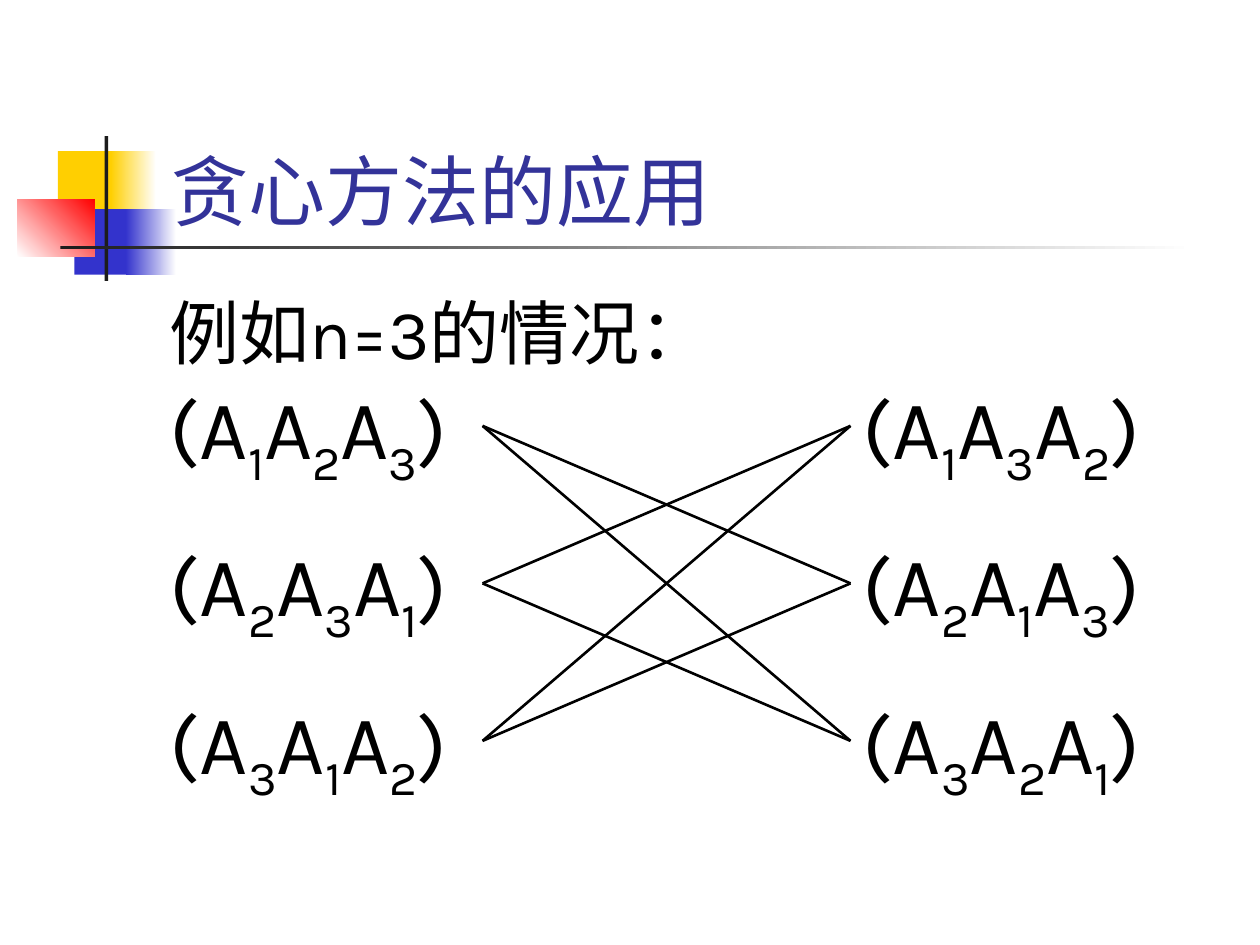
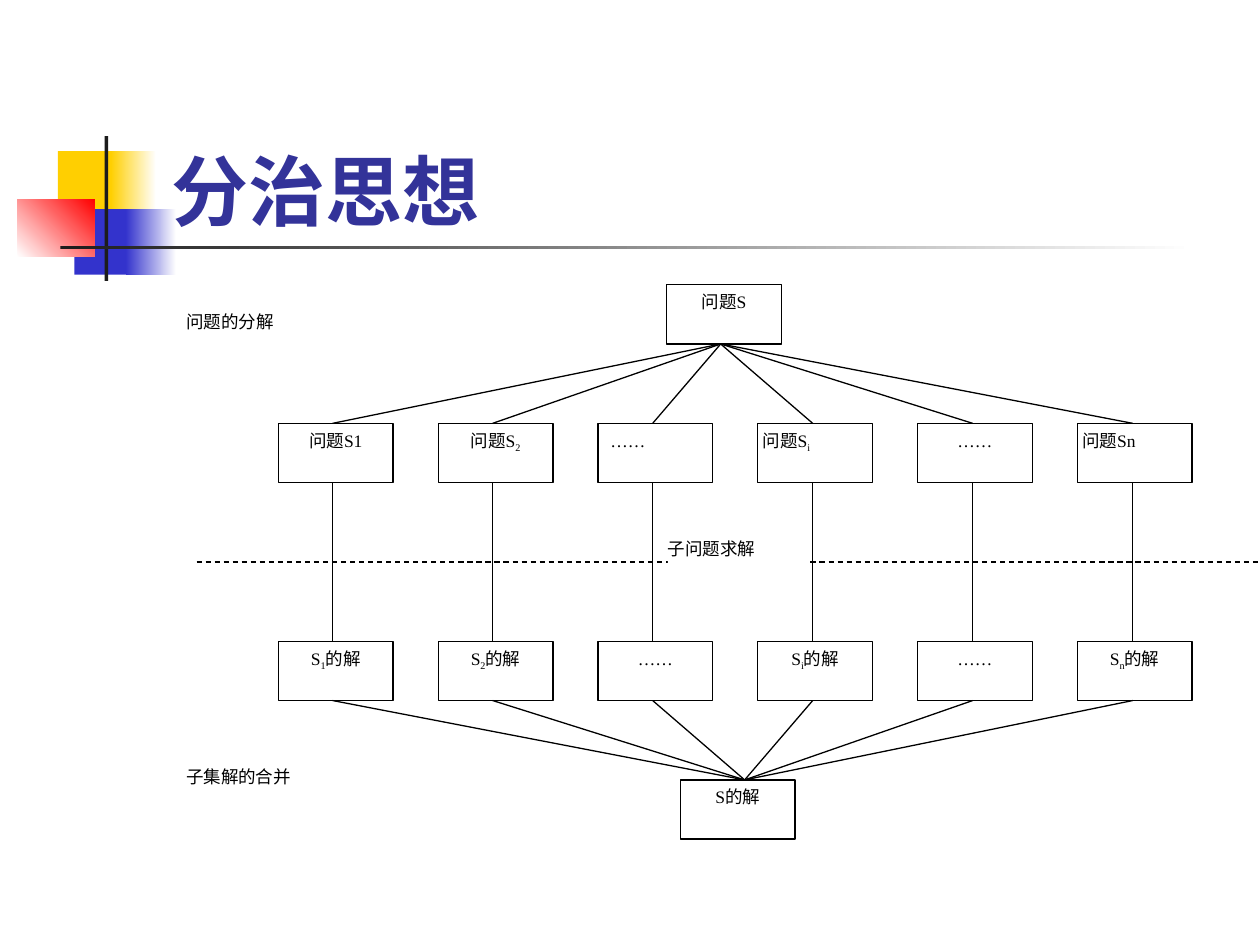
from lxml import etree
from pptx import Presentation
from pptx.dml.color import RGBColor
from pptx.enum.dml import MSO_LINE
from pptx.enum.shapes import MSO_CONNECTOR, MSO_SHAPE
from pptx.enum.text import MSO_ANCHOR, MSO_AUTO_SIZE, PP_ALIGN
from pptx.oxml.ns import qn
from pptx.util import Inches, Pt

RECTANGLE = MSO_SHAPE.RECTANGLE
PROCESS = MSO_SHAPE.FLOWCHART_PROCESS
STRAIGHT = MSO_CONNECTOR.STRAIGHT
DASH = MSO_LINE.DASH
TOP, BOTTOM = MSO_ANCHOR.TOP, MSO_ANCHOR.BOTTOM
NO_FIT = MSO_AUTO_SIZE.NONE
LEFT, CENTER, JUSTIFY = PP_ALIGN.LEFT, PP_ALIGN.CENTER, PP_ALIGN.JUSTIFY

BLACK, WHITE, CHARCOAL = "000000", "FFFFFF", "1C1C1C"
YELLOW, BLUE, RED, TITLE_BLUE = "FFCF01", "3333CC", "FF0000", "333399"
CHINESE, BODY, DIAGRAM = "Noto Sans CJK SC", "Karla", "Times New Roman"
DOTS = "……"

BOX_WIDTH, BOX_HEIGHT = 0.91, 0.47
SUBPROBLEM_TOP, SOLUTION_TOP = 3.36, 5.09
PROBLEM_TOP, RESULT_TOP = 2.26, 6.19

ORNAMENT = [
    ((0.46, 1.2, 0.48, 0.52), (YELLOW,), 0),
    ((0.88, 1.2, 0.36, 0.52), (YELLOW, WHITE), 0),
    ((0.59, 1.66, 0.46, 0.52), (BLUE,), 0),
    ((1, 1.66, 0.4, 0.52), (BLUE, WHITE), 0),
    ((0.14, 1.58, 0.61, 0.46), (WHITE, RED), 45),
    ((0.83, 1.08, 0.03, 1.15), (CHARCOAL,), 0),
    ((0.48, 1.95, 9, 0.03), (CHARCOAL, WHITE), 0),
]


def color(value):
    return RGBColor.from_string(value)


def inches(values):
    return [Inches(value) for value in values]


def write_text(shape, text, size, font, align=JUSTIFY, hue=BLACK, bold=False,
               inset=0.1, anchor=TOP):
    frame = shape.text_frame
    frame.word_wrap = True
    frame.auto_size = NO_FIT
    frame.vertical_anchor = anchor
    frame.margin_left = frame.margin_right = Inches(inset)
    frame.margin_top = frame.margin_bottom = Inches(0.05)
    para = frame.paragraphs[0]
    para.alignment = align
    para.space_before = Pt(0)
    para.font.size = Pt(size)
    para.font.bold = bold
    para.font.color.rgb = color(hue)
    para.font.name = font
    etree.SubElement(para.font._element, qn("a:ea"), typeface=CHINESE)
    start, *marked = text.split("_")
    add_span(para, start)
    for part in marked:
        add_span(para, part[0], True)
        add_span(para, part[1:])


def add_span(para, text, subscript=False):
    if text:
        span = para.add_run()
        span.text = text
        if subscript:
            span.font._element.set("baseline", "-25000")


def add_block(page, place, fills=(WHITE,), angle=0, kind=RECTANGLE, outline=False):
    block = page.shapes.add_shape(kind, *inches(place))
    block.shadow.inherit = False
    if len(fills) == 1:
        block.fill.solid()
        block.fill.fore_color.rgb = color(fills[0])
    else:
        block.fill.gradient()
        block.fill.gradient_angle = angle
        for stop, hue in zip(block.fill.gradient_stops, fills):
            stop.color.rgb = color(hue)
    if outline:
        block.line.color.rgb = color(BLACK)
        block.line.width = Pt(0.75)
    else:
        block.line.fill.background()
    return block


def add_text_box(page, place, text, size):
    write_text(page.shapes.add_textbox(*inches(place)), text, size, BODY)


def add_line(page, start, end, width=0.75, dash=None):
    line = page.shapes.add_connector(STRAIGHT, *inches(start + end))
    line.line.color.rgb = color(BLACK)
    line.line.width = Pt(width)
    if dash:
        line.line.dash_style = dash
    etree.SubElement(line._element.spPr, qn("a:effectLst"))


def add_process(page, left, top, text, align=CENTER):
    box = add_block(page, (left, top, BOX_WIDTH, BOX_HEIGHT), kind=PROCESS, outline=True)
    write_text(box, text, 10, DIAGRAM, align, inset=0.1 if text == DOTS else 0.04)


def add_label(page, place, text, inset=0.1):
    write_text(add_block(page, place), text, 10, DIAGRAM, inset=inset)


def add_page(deck, text, width, font, bold=False):
    page = deck.slides.add_slide(deck.slide_layouts[5])
    for place, fills, angle in ORNAMENT:
        add_block(page, place, fills, angle)
    title = page.shapes.title
    title.left, title.top, title.width, title.height = inches((1.26, 0.67, width, 1.25))
    write_text(title, text, 44, font, LEFT, TITLE_BLUE, bold, anchor=BOTTOM)
    page.shapes._spTree.append(title._element)
    return page


def build_greedy_page(deck):
    page = add_page(deck, "贪心方法的应用", 8.52, CHINESE)
    add_text_box(page, (1.25, 2.25, 5.33, 0.77), "例如n=3的情况：", 40)
    orders = [("123", "132"), ("231", "213"), ("312", "321")]
    for row, pair in enumerate(orders):
        for left, order in zip((1.25, 6.75), pair):
            product = "".join(f"A_{index}" for index in order)
            add_text_box(page, (left, 2.93 + 1.25 * row, 2.58, 1.01), f"({product})", 48)
    levels = [3.38 + 1.25 * row for row in range(3)]
    for source, targets in enumerate([(1, 2), (0, 2), (0, 1)]):
        for target in targets:
            add_line(page, (3.83, levels[source]), (6.75, levels[target]), 1.5)


def build_divide_page(deck):
    page = add_page(deck, "分治思想", 5.4, BODY, True)
    add_process(page, 5.29, PROBLEM_TOP, "问题S")
    add_process(page, 5.4, RESULT_TOP, "S的解")
    add_line(page, (1.56, 4.46), (10, 4.46), dash=DASH)
    columns = [
        ("问题S1", CENTER, "S_1的解"),
        ("问题S_2", CENTER, "S_2的解"),
        (DOTS, JUSTIFY, DOTS),
        ("问题S_i", JUSTIFY, "S_i的解"),
        (DOTS, CENTER, DOTS),
        ("问题Sn", JUSTIFY, "S_n的解"),
    ]
    pitch = (8.55 - 2.21) / (len(columns) - 1)
    for column, (problem, align, solution) in enumerate(columns):
        left = 2.21 + pitch * column
        axis = 2.64 + 1.27 * column
        add_process(page, left, SUBPROBLEM_TOP, problem, align)
        add_process(page, left, SOLUTION_TOP, solution)
        add_line(page, (5.72, PROBLEM_TOP + BOX_HEIGHT), (axis, SUBPROBLEM_TOP))
        add_line(page, (axis, SUBPROBLEM_TOP + BOX_HEIGHT), (axis, SOLUTION_TOP))
        add_line(page, (axis, SOLUTION_TOP + BOX_HEIGHT), (5.91, RESULT_TOP))
    add_label(page, (1.38, 2.42, 1.45, 0.47), "问题的分解")
    add_label(page, (1.38, 6.03, 1.63, 0.47), "子集解的合并")
    add_label(page, (5.3, 4.22, 1.11, 0.47), "子问题求解", 0)


def main():
    deck = Presentation()
    deck.slide_width, deck.slide_height = Inches(10), Inches(7.5)
    build_greedy_page(deck)
    build_divide_page(deck)
    deck.save("out.pptx")


if __name__ == "__main__":
    main()
